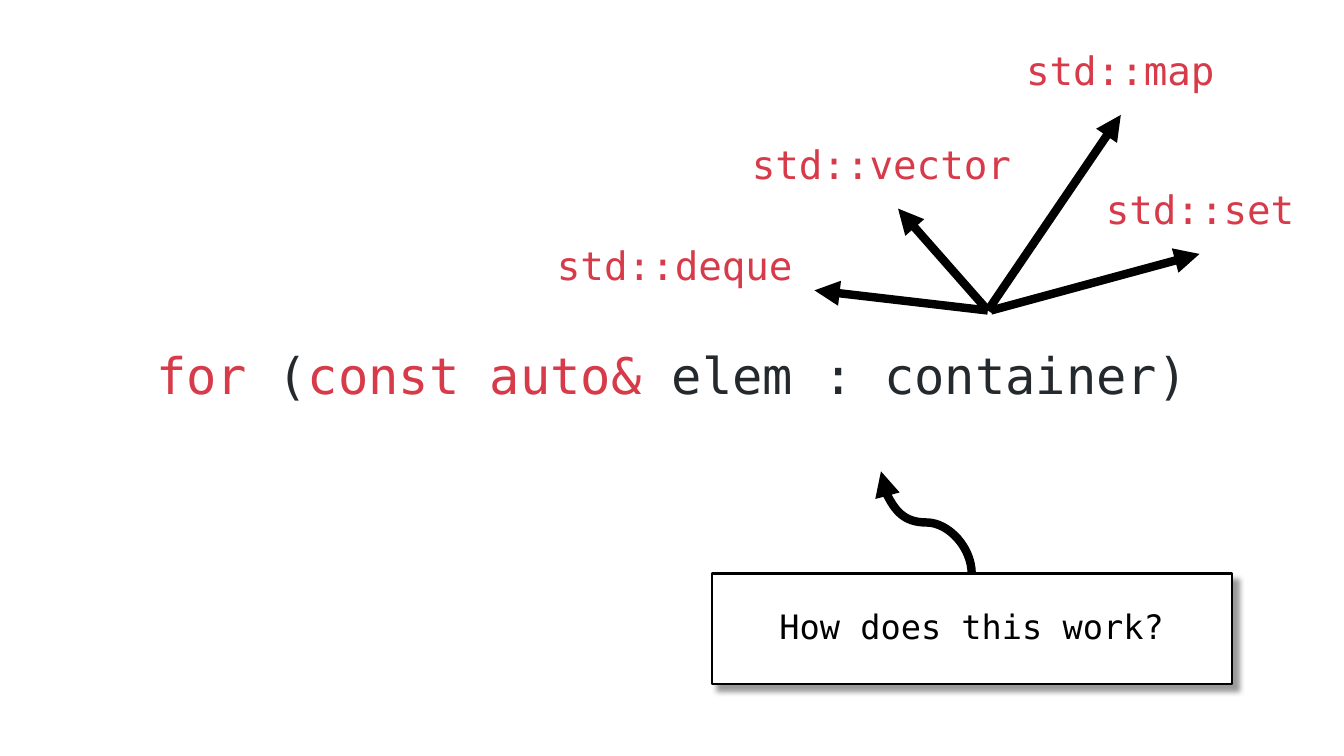
from lxml import etree
from pptx import Presentation
from pptx import util as u
from pptx.dml.color import RGBColor
from pptx.enum import shapes, text
from pptx.oxml import ns

COLOURS = {"keyword": "D73A49", "code": "24292E", "ink": "000000", "paper": "FFFFFF"}
FONT = "DejaVu Sans Mono"
LABEL_SIZE = (298.8, 60.5)
HUB = (705.6, 221.8)
# name, left and top of its label, start and tip of its arrow
CONTAINERS = [
    ("std::vector", (480.2, 88.6), HUB, (641.5, 149)),
    ("std::map", (650.9, 21.6), HUB, (800.6, 82.1)),
    ("std::set", (707.8, 121), (707.8, 221.8), (856.8, 181.4)),
    ("std::deque", (332.6, 161.3), HUB, (581.8, 207.4)),
]


def colour(name):
    return RGBColor.from_string(COLOURS[name])


def points(values):
    return [u.Pt(value) for value in values]


def add_element(parent, tag, **attributes):
    return etree.SubElement(parent, ns.qn(tag), attributes)


def write_line(shape, spans, size, inset=None):
    """Write one centred line from (words, colour name) pairs."""
    frame = shape.text_frame
    settings = {"word_wrap": True, "auto_size": text.MSO_AUTO_SIZE.NONE,
                "vertical_anchor": text.MSO_ANCHOR.MIDDLE}
    if inset is not None:
        for side in ("left", "top", "right", "bottom"):
            settings["margin_" + side] = u.Pt(inset)
    for name, value in settings.items():
        setattr(frame, name, value)
    para = frame.paragraphs[0]
    para.alignment = text.PP_ALIGN.CENTER
    para.line_spacing = 0.9
    for words, shade in spans:
        span = para.add_run()
        span.text = words
        for name, value in {"name": FONT, "size": u.Pt(size)}.items():
            setattr(span.font, name, value)
        span.font.color.rgb = colour(shade)


def add_arrow(slide, kind, start, end):
    arrow = slide.shapes.add_connector(kind, *points(start + end))
    arrow.line.width = u.Pt(6)
    arrow.line.color.rgb = colour("ink")
    properties = arrow._element.spPr
    add_element(properties.find(ns.qn("a:ln")), "a:tailEnd", type="triangle")
    add_element(properties, "a:effectLst")
    return arrow


def add_loop_header(slide, left, top, width, height):
    title = slide.shapes.title
    title.left, title.top, title.width, title.height = points((left, top, width, height))
    write_line(title, [("for", "keyword"), (" (", "code"), ("const auto& ", "keyword"),
                       ("elem : container)", "code")], 36)


def add_container(slide, name, corner, start, tip):
    add_arrow(slide, shapes.MSO_CONNECTOR.STRAIGHT, start, tip)
    label = slide.shapes.add_textbox(*points(corner + LABEL_SIZE))
    write_line(label, [(name, "keyword")], 28)


def add_question(slide, left, top, width, height):
    """Add the shadowed question box and the curved arrow rising from it."""
    box = slide.shapes.add_shape(shapes.MSO_SHAPE.RECTANGLE, *points((left, top, width, height)))
    box.shadow.inherit = False
    box.fill.solid()
    box.fill.fore_color.rgb = colour("paper")
    box.line.color.rgb = colour("ink")
    box.line.width = u.Pt(1.5)
    effects = box._element.spPr.find(ns.qn("a:effectLst"))
    shadow = add_element(effects, "a:outerShdw", blurRad=str(u.Pt(4)), dist=str(u.Pt(6)),
                         dir="2700000", algn="tl", rotWithShape="0")
    shade = add_element(shadow, "a:srgbClr", val=COLOURS["ink"])
    add_element(shade, "a:alpha", val="40000")
    write_line(box, [("How does this work?", "ink")], 24, inset=18)

    # The curve is laid out sideways about its centre, then turned upright.
    rise, shift = 73, 64.8
    x, y = left + width / 2 - shift / 2, top - rise / 2
    curve = add_arrow(slide, shapes.MSO_CONNECTOR.CURVE,
                      (x - rise / 2, y + shift / 2), (x + rise / 2, y - shift / 2))
    curve._element.spPr.find(ns.qn("a:xfrm")).set("rot", "16200000")


def main():
    deck = Presentation()
    deck.slide_width, deck.slide_height = points((960, 540))
    slide = deck.slides.add_slide(deck.slide_layouts[5])
    add_loop_header(slide, 31, 239.8, 897.8, 60.5)
    add_question(slide, 508.3, 409.7, 371.5, 79.2)
    for container in CONTAINERS:
        add_container(slide, *container)
    deck.save("out.pptx")


if __name__ == "__main__":
    main()
